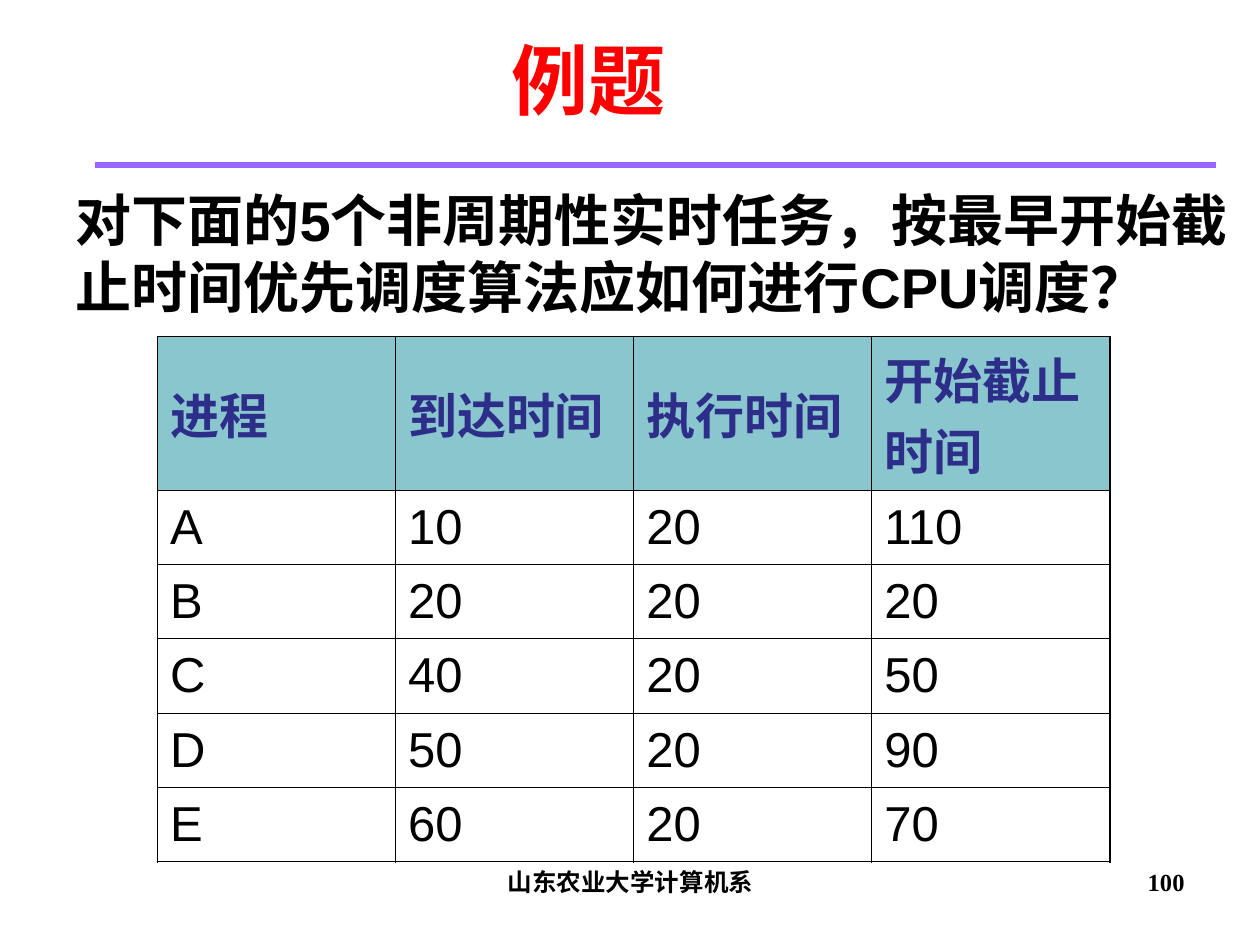
from dataclasses import dataclass

from lxml.etree import SubElement
from pptx import Presentation
from pptx.dml.color import RGBColor
from pptx.enum.lang import MSO_LANGUAGE_ID
from pptx.enum.shapes import MSO_CONNECTOR
from pptx.enum.text import MSO_ANCHOR, PP_ALIGN
from pptx.oxml.ns import qn
from pptx.util import Inches, Pt


@dataclass(frozen=True)
class Theme:
    black: str = "000000"
    title: str = "FF0000"
    rule: str = "9966FF"
    header_text: str = "2D2D8A"
    header_fill: str = "8AC6CD"
    sans: str = "Arial"
    serif: str = "Times New Roman"
    title_size: int = 44
    body_size: int = 32
    table_size: int = 28
    footer_size: int = 14
    outer_border: float = 1.08
    inner_border: float = 0.45


theme = Theme()


def add_run(paragraph, text, size, color, font_name, bold=True):
    run = paragraph.add_run()
    run.text = text
    run.font.size = Pt(size)
    run.font.bold = bold
    run.font.name = font_name
    run.font.color.rgb = RGBColor.from_string(color)
    run.font.language_id = MSO_LANGUAGE_ID.SIMPLIFIED_CHINESE


def set_border(cell, tag, width):
    line = SubElement(cell._tc.get_or_add_tcPr(), qn(f"a:{tag}"), w=str(Pt(width)))
    fill = SubElement(line, qn("a:solidFill"))
    SubElement(fill, qn("a:srgbClr"), val=theme.black)


presentation = Presentation()
presentation.slide_width = Inches(10)
presentation.slide_height = Inches(7.5)
slide = presentation.slides.add_slide(presentation.slide_layouts[6])

# Title, question, footer and page number
text_boxes = [
    ("山东农业大学计算机系", (3.42, 6.83, 3.17, 0.52), PP_ALIGN.CENTER,
     MSO_ANCHOR.TOP, theme.footer_size, theme.black, theme.serif),
    ("100", (7.17, 6.83, 2.33, 0.52), PP_ALIGN.RIGHT,
     MSO_ANCHOR.TOP, theme.footer_size, theme.black, theme.serif),
    ("例题", (0, 0, 9.34, 1.25), PP_ALIGN.CENTER,
     MSO_ANCHOR.MIDDLE, theme.title_size, theme.title, theme.sans),
    ("对下面的5个非周期性实时任务，按最早开始截止时间优先调度算法应如何进行CPU调度？",
     (0.5, 1.42, 9.5, 1.45), PP_ALIGN.LEFT,
     MSO_ANCHOR.TOP, theme.body_size, theme.black, theme.sans),
]
for text, box, alignment, anchor, size, color, font_name in text_boxes:
    shape = slide.shapes.add_textbox(*(Inches(length) for length in box))
    shape.text_frame.word_wrap = True
    shape.text_frame.vertical_anchor = anchor
    paragraph = shape.text_frame.paragraphs[0]
    paragraph.alignment = alignment
    add_run(paragraph, text, size, color, font_name)

# Task table
rows = [
    ("进程", "到达时间", "执行时间", "开始截止时间"),
    ("A", "10", "20", "110"),
    ("B", "20", "20", "20"),
    ("C", "40", "20", "50"),
    ("D", "50", "20", "90"),
    ("E", "60", "20", "70"),
]
last_row, last_column = len(rows) - 1, len(rows[0]) - 1
table = slide.shapes.add_table(
    len(rows), len(rows[0]), Inches(1.25), Inches(2.67), Inches(7.56), Inches(4.17)
).table
table.horz_banding = False
table.first_row = False
for column in table.columns:
    column.width = Inches(1.89)
for row_index, values in enumerate(rows):
    is_header = row_index == 0
    table.rows[row_index].height = Inches(1.22 if is_header else 0.59)
    for column_index, value in enumerate(values):
        cell = table.cell(row_index, column_index)
        cell.vertical_anchor = MSO_ANCHOR.MIDDLE
        add_run(cell.text_frame.paragraphs[0], value, theme.table_size,
                theme.header_text if is_header else theme.black,
                theme.sans, bold=is_header)
        outer_sides = {
            "lnL": column_index == 0,
            "lnR": column_index == last_column,
            "lnT": is_header,
            "lnB": row_index == last_row,
        }
        for tag, is_outer in outer_sides.items():
            set_border(cell, tag, theme.outer_border if is_outer else theme.inner_border)
        if is_header:
            cell.fill.solid()
            cell.fill.fore_color.rgb = RGBColor.from_string(theme.header_fill)
        else:
            cell.fill.background()

# Rule under the title
rule = slide.shapes.add_connector(
    MSO_CONNECTOR.STRAIGHT, Inches(0.75), Inches(1.31), Inches(9.65), Inches(1.31)
)
rule.line.color.rgb = RGBColor.from_string(theme.rule)
rule.line.width = Pt(3)
SubElement(rule._element.spPr, qn("a:effectLst"))

presentation.save("out.pptx")
